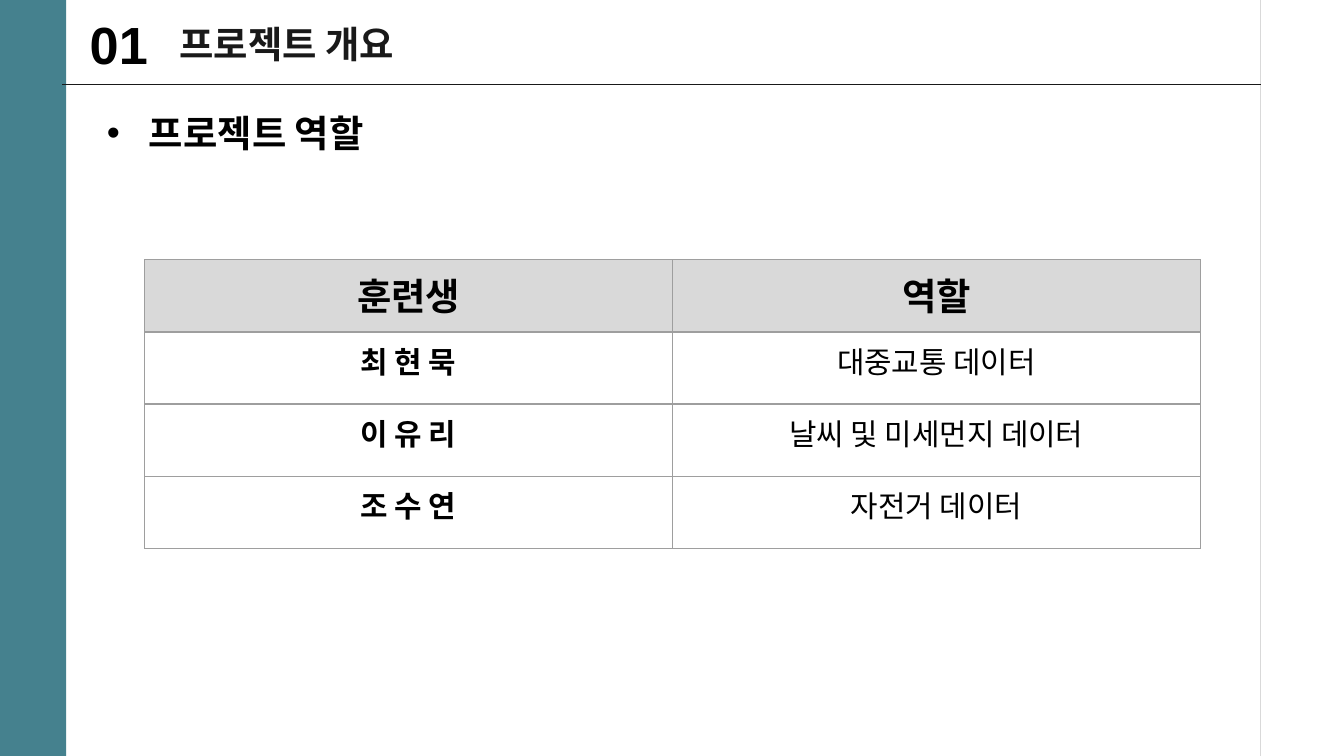
"""Build the project roles slide."""
from lxml import etree
from pptx import Presentation
from pptx import util as u
from pptx.dml.color import RGBColor
from pptx.enum import shapes, text
from pptx.oxml import ns

TEAL = RGBColor(0x45, 0x81, 0x8E)
BLACK = RGBColor(0, 0, 0)
INK = RGBColor(0x19, 0x19, 0x19)
SILVER = RGBColor(0xD9, 0xD9, 0xD9)
BORDER = RGBColor(0x9E, 0x9E, 0x9E)
LATIN = "Arial"
KOREAN = "Noto Sans CJK KR"


class RoleSlide:
    """Hold the shared style and the slide being drawn."""

    line_width = u.Pt(0.75)

    def __init__(self, deck):
        self.slide = deck.slides.add_slide(deck.slide_layouts[6])

    def band(self, left, top, width, height, color):
        band = self.slide.shapes.add_shape(
            shapes.MSO_SHAPE.RECTANGLE, u.Pt(left), u.Pt(top), u.Pt(width), u.Pt(height))
        band.shadow.inherit = False
        band.fill.solid()
        band.fill.fore_color.rgb = color
        band.line.fill.background()

    def rule(self, x1, y1, x2, y2, color):
        rule = self.slide.shapes.add_connector(
            shapes.MSO_CONNECTOR.STRAIGHT, u.Pt(x1), u.Pt(y1), u.Pt(x2), u.Pt(y2))
        rule.line.color.rgb = color
        rule.line.width = self.line_width
        etree.SubElement(rule._element.spPr, ns.qn("a:effectLst"))

    def add_words(self, paragraph, words, size, color=BLACK, bold=True, font=LATIN):
        run = paragraph.add_run()
        run.text = words
        run.font.size = u.Pt(size)
        run.font.bold = bold
        run.font.name = font
        run.font.color.rgb = color
        east_asian = etree.SubElement(run._r.get_or_add_rPr(), ns.qn("a:ea"))
        east_asian.set("typeface", KOREAN)

    def label(self, left, top, width, height, words, size,
              anchor=text.MSO_ANCHOR.MIDDLE, **style):
        box = self.slide.shapes.add_textbox(u.Pt(left), u.Pt(top), u.Pt(width), u.Pt(height))
        frame = box.text_frame
        frame.word_wrap = True
        frame.vertical_anchor = anchor
        self.add_words(frame.paragraphs[0], words, size, **style)
        return frame.paragraphs[0]

    def bullet(self, paragraph, indent):
        properties = paragraph._p.get_or_add_pPr()
        properties.set("marL", str(u.Pt(indent)))
        properties.set("indent", str(-u.Pt(indent)))
        etree.SubElement(properties, ns.qn("a:buFont")).set("typeface", LATIN)
        etree.SubElement(properties, ns.qn("a:buChar")).set("char", "•")

    def outline(self, cell):
        properties = cell._tc.get_or_add_tcPr()
        for position, side in enumerate(("lnL", "lnR", "lnT", "lnB")):
            edge = etree.Element(ns.qn(f"a:{side}"), w=str(self.line_width))
            fill = etree.SubElement(edge, ns.qn("a:solidFill"))
            etree.SubElement(fill, ns.qn("a:srgbClr")).set("val", str(BORDER))
            properties.insert(position, edge)

    def table(self, left, top, width, height, rows):
        frame = self.slide.shapes.add_table(
            len(rows), len(rows[0]), u.Pt(left), u.Pt(top), u.Pt(width), u.Pt(height))
        for r, row in enumerate(rows):
            header = r == 0
            for c, words in enumerate(row):
                cell = frame.table.cell(r, c)
                if header:
                    cell.fill.solid()
                    cell.fill.fore_color.rgb = SILVER
                else:
                    cell.fill.background()
                self.outline(cell)
                paragraph = cell.text_frame.paragraphs[0]
                paragraph.alignment = text.PP_ALIGN.CENTER
                self.add_words(paragraph, words, 20 if header else 16, bold=header or c == 0)


def main():
    deck = Presentation()
    deck.slide_width, deck.slide_height = u.Pt(720), u.Pt(405)
    page = RoleSlide(deck)
    page.band(0, 0, 35.5, 405, TEAL)
    page.rule(675.4, -3, 675.4, 407.5, SILVER)
    page.label(41, 3, 57, 41, "01", 28, anchor=text.MSO_ANCHOR.TOP)
    page.rule(675.4, 45.2, 33, 45.2, INK)
    page.label(89, 6, 405, 35, "프로젝트 개요", 20, color=INK, font=KOREAN)
    page.table(77.5, 139.2, 565.6, 154.6, [
        ("훈련생", "역할"),
        ("최 현 묵", "대중교통 데이터"),
        ("이 유 리", "날씨 및 미세먼지 데이터"),
        ("조 수 연", "자전거 데이터"),
    ])
    heading = page.label(50.2, 55.5, 593, 31.5, "프로젝트 역할", 20)
    page.bullet(heading, 22.5)
    deck.save("out.pptx")


if __name__ == "__main__":
    main()
